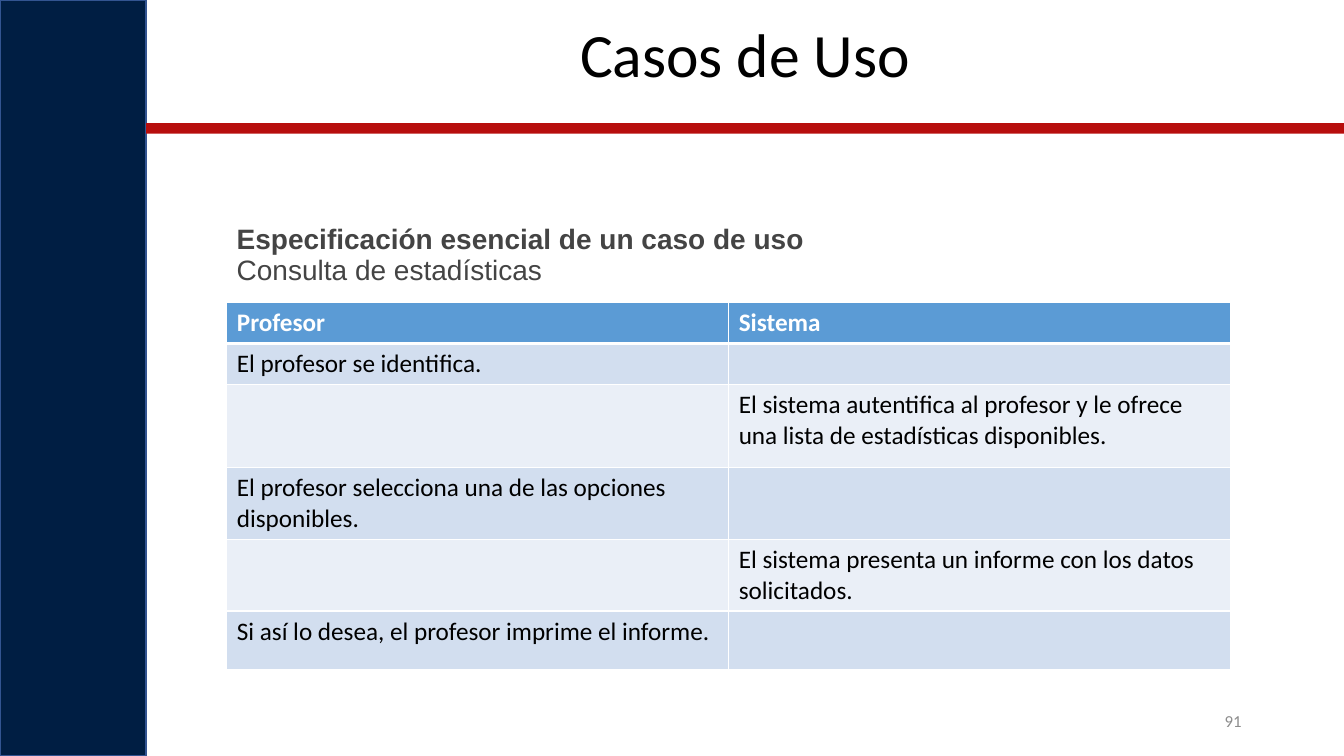
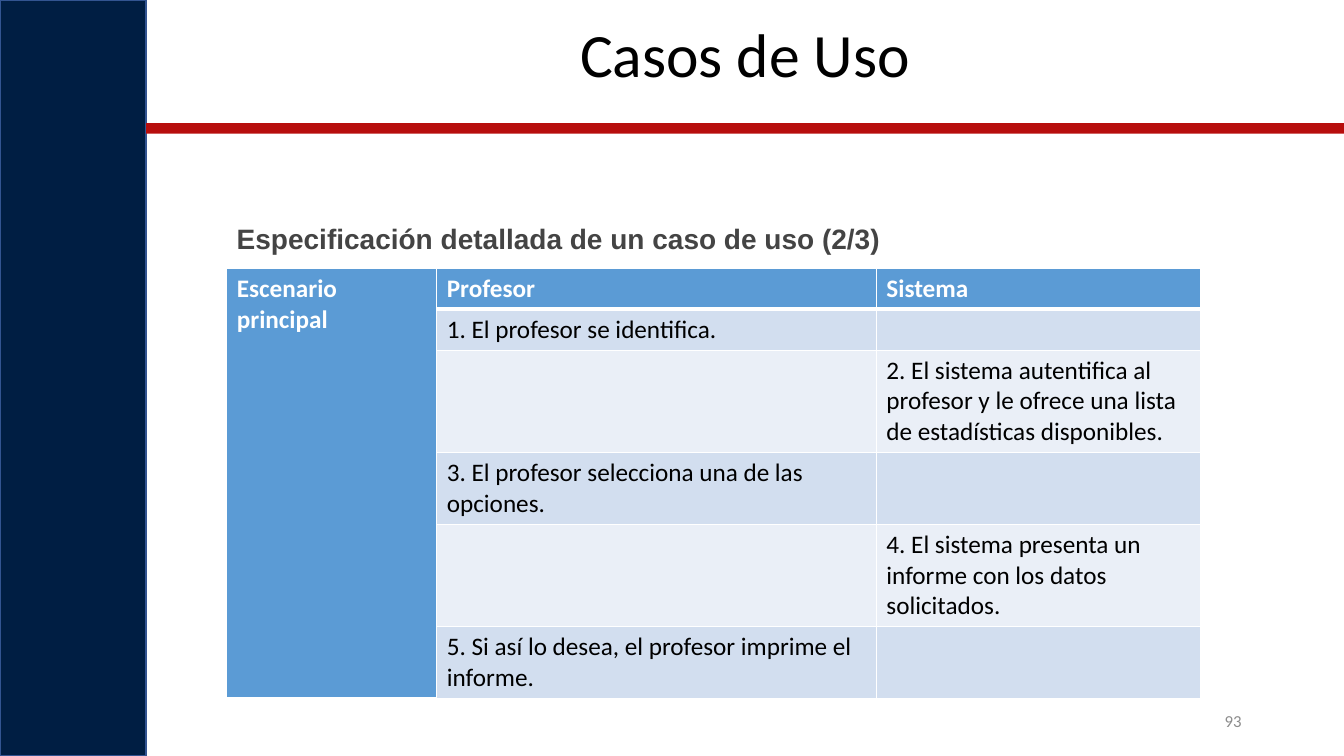
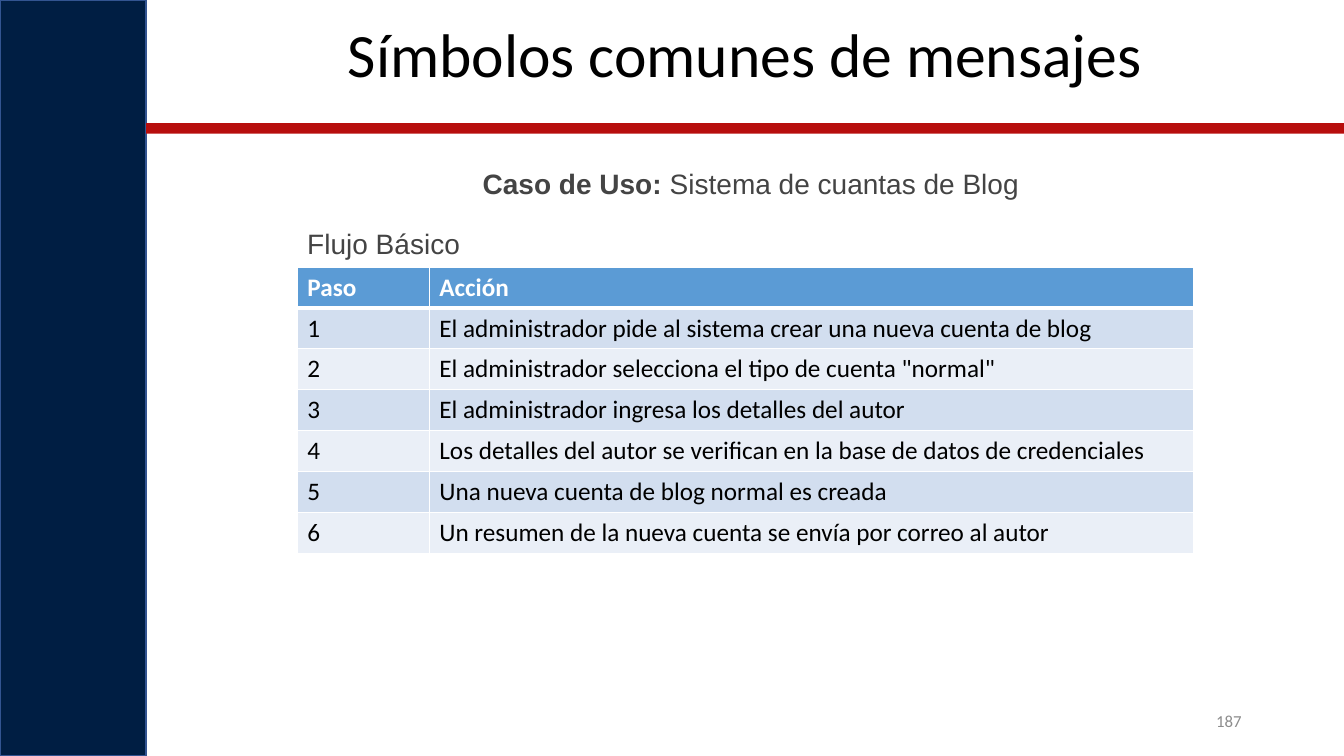
from lxml import etree
from pptx import Presentation
from pptx.dml.color import RGBColor
from pptx.enum.shapes import MSO_SHAPE
from pptx.enum.text import MSO_ANCHOR, PP_ALIGN
from pptx.oxml.ns import qn
from pptx.util import Pt

RECTANGLE = MSO_SHAPE.RECTANGLE
TOP, MIDDLE = MSO_ANCHOR.TOP, MSO_ANCHOR.MIDDLE
CENTER, RIGHT, JUSTIFY = PP_ALIGN.CENTER, PP_ALIGN.RIGHT, PP_ALIGN.JUSTIFY

COLORS = {
    "navy": "001E43", "navy_line": "325491", "red": "B70E0D",
    "black": "000000", "white": "FFFFFF", "heading": "444444", "number": "8C8C8C",
    "header": "5B9BD5", "odd_row": "D2DEEF", "even_row": "EAEFF7",
}
SLIDE_WIDTH, SLIDE_HEIGHT = 960, 540
SIDEBAR_WIDTH = 104.4
RULE_TOP, RULE_HEIGHT = 87.9, 7.6
ONE_LINE, TWO_LINES, THREE_LINES = 29.2, 51.2, 73.2

# Content: headings hold paragraphs, and paragraphs hold (text, bold) spans
SLIDES = [
    {
        "title": "Casos de Uso", "number": "91",
        "headings": [
            ((162, 157.7, 424, 49), [
                [("Especificación esencial de un caso de uso", True)],
                [("Consulta de estadísticas", False)],
            ]),
        ],
        "table": {
            "at": (162, 216.2), "columns": [358.5, 358.5],
            "heights": [ONE_LINE, ONE_LINE, 59.5, TWO_LINES, TWO_LINES, 41.5],
            "rows": [
                ("Profesor", "Sistema"),
                ("El profesor se identifica.", ""),
                ("", "El sistema autentifica al profesor y le ofrece una lista "
                     "de estadísticas disponibles."),
                ("El profesor selecciona una de las opciones disponibles.", ""),
                ("", "El sistema presenta un informe con los datos solicitados."),
                ("Si así lo desea, el profesor imprime el informe.", ""),
            ],
        },
    },
    {
        "title": "Casos de Uso", "number": "93",
        "headings": [
            ((162, 157.7, 490, 34), [
                [("Especificación detallada de un caso de uso (2/3)", True)],
            ]),
        ],
        "table": {
            "at": (162, 191.7), "columns": [150, 314, 231.8],
            "heights": [ONE_LINE, ONE_LINE, THREE_LINES, TWO_LINES, THREE_LINES, TWO_LINES],
            "merge_first_column": True,
            "rows": [
                ("Escenario principal", "Profesor", "Sistema"),
                ("", "1. El profesor se identifica.", ""),
                ("", "", "2. El sistema autentifica al profesor y le ofrece una lista "
                         "de estadísticas disponibles."),
                ("", "3. El profesor selecciona una de las opciones.", ""),
                ("", "", "4. El sistema presenta un informe con los datos solicitados."),
                ("", "5. Si así lo desea, el profesor imprime el informe.", ""),
            ],
        },
    },
    {
        "title": "Símbolos comunes de mensajes", "number": "187",
        "headings": [
            ((337.7, 118.1, 402, 27), [
                [("Caso de Uso: ", True), ("Sistema de cuantas de Blog", False)],
            ]),
            ((212.4, 161.3, 130, 22), [[("Flujo Básico", False)]]),
        ],
        "table": {
            "at": (212.4, 190.8), "columns": [94.3, 545.8],
            "heights": [ONE_LINE] * 7,
            "rows": [
                ("Paso", "Acción"),
                ("1", "El administrador pide al sistema crear una nueva cuenta de blog"),
                ("2", "El administrador selecciona el tipo de cuenta \"normal\""),
                ("3", "El administrador ingresa los detalles del autor"),
                ("4", "Los detalles del autor se verifican en la base de datos de credenciales"),
                ("5", "Una nueva cuenta de blog normal es creada"),
                ("6", "Un resumen de la nueva cuenta se envía por correo al autor"),
            ],
        },
    },
]


def color(name):
    return RGBColor.from_string(COLORS[name])


def place(shape, left, top, width, height):
    shape.left, shape.top, shape.width, shape.height = map(Pt, (left, top, width, height))


def add_span(para, text, size, color_name, bold=False, font="Calibri"):
    span = para.add_run()
    span.text = text
    span.font.name, span.font.size, span.font.bold = font, Pt(size), bold
    span.font.color.rgb = color(color_name)


def add_text(page, at, paragraphs, size, color_name, align, font="Calibri",
             anchor=TOP, spacing=None):
    frame = page.shapes.add_textbox(*map(Pt, at)).text_frame
    frame.word_wrap = True
    frame.vertical_anchor = anchor
    for index, spans in enumerate(paragraphs):
        para = frame.add_paragraph() if index else frame.paragraphs[0]
        para.alignment, para.line_spacing = align, spacing
        for text, bold in spans:
            add_span(para, text, size, color_name, bold, font)


def add_band(page, at, fill, line=None):
    band = page.shapes.add_shape(RECTANGLE, *map(Pt, at))
    band.shadow.inherit = False
    band.fill.solid()
    band.fill.fore_color.rgb = color(fill)
    if line:
        band.line.color.rgb = color(line)
        band.line.width = Pt(1)
    else:
        band.line.fill.background()


def set_borders(cell, top, bottom):
    properties = cell._tc.get_or_add_tcPr()
    for side, width in (("L", 1), ("R", 1), ("T", top), ("B", bottom)):
        line = etree.SubElement(properties, qn(f"a:ln{side}"), w=str(Pt(width)))
        fill = etree.SubElement(line, qn("a:solidFill"))
        etree.SubElement(fill, qn("a:srgbClr"), val=COLORS["white"])


def add_grid(page, spec_data):
    rows, columns, heights = (spec_data[key] for key in ("rows", "columns", "heights"))
    left, top = spec_data["at"]
    table = page.shapes.add_table(len(rows), len(columns), Pt(left), Pt(top),
                                  Pt(sum(columns)), Pt(sum(heights))).table
    for column, width in zip(table.columns, columns):
        column.width = Pt(width)
    for row, height in zip(table.rows, heights):
        row.height = Pt(height)
    merged = spec_data.get("merge_first_column", False)
    if merged:
        table.cell(0, 0).merge(table.cell(len(rows) - 1, 0))
    for row_index, texts in enumerate(rows):
        for column_index, text in enumerate(texts):
            cell = table.cell(row_index, column_index)
            if cell.is_spanned:
                continue
            is_header = row_index == 0
            set_borders(cell, 3 if row_index == 1 else 1, 3 if is_header else 1)
            cell.fill.solid()
            stripe = "odd_row" if row_index % 2 else "even_row"
            cell.fill.fore_color.rgb = color("header" if is_header else stripe)
            if text:
                add_span(cell.text_frame.paragraphs[0], text, 18,
                         "white" if is_header else "black", is_header)


def add_title(page, text):
    title = page.shapes.title
    place(title, 110, 13.7, 844.6, 61.2)
    title.text_frame.vertical_anchor = TOP
    para = title.text_frame.paragraphs[0]
    para.alignment, para.line_spacing = CENTER, 0.9
    add_span(para, text, 44, "black")


def build_slide(deck, content):
    page = deck.slides.add_slide(deck.slide_layouts[5])
    # Shared frame
    add_band(page, (0, 0, SIDEBAR_WIDTH, SLIDE_HEIGHT), "navy", "navy_line")
    add_band(page, (SIDEBAR_WIDTH, RULE_TOP, SLIDE_WIDTH - SIDEBAR_WIDTH, RULE_HEIGHT), "red")
    add_title(page, content["title"])
    add_text(page, (678, 500.5, 216, 28.8), [[(content["number"], False)]],
             12, "number", RIGHT, anchor=MIDDLE)
    # Headings and table
    for at, paragraphs in content["headings"]:
        add_text(page, at, paragraphs, 20, "heading", JUSTIFY, "Arial", spacing=0.9)
    add_grid(page, content["table"])


def main():
    deck = Presentation()
    deck.slide_width, deck.slide_height = Pt(SLIDE_WIDTH), Pt(SLIDE_HEIGHT)
    for content in SLIDES:
        build_slide(deck, content)
    deck.save("out.pptx")


if __name__ == "__main__":
    main()
